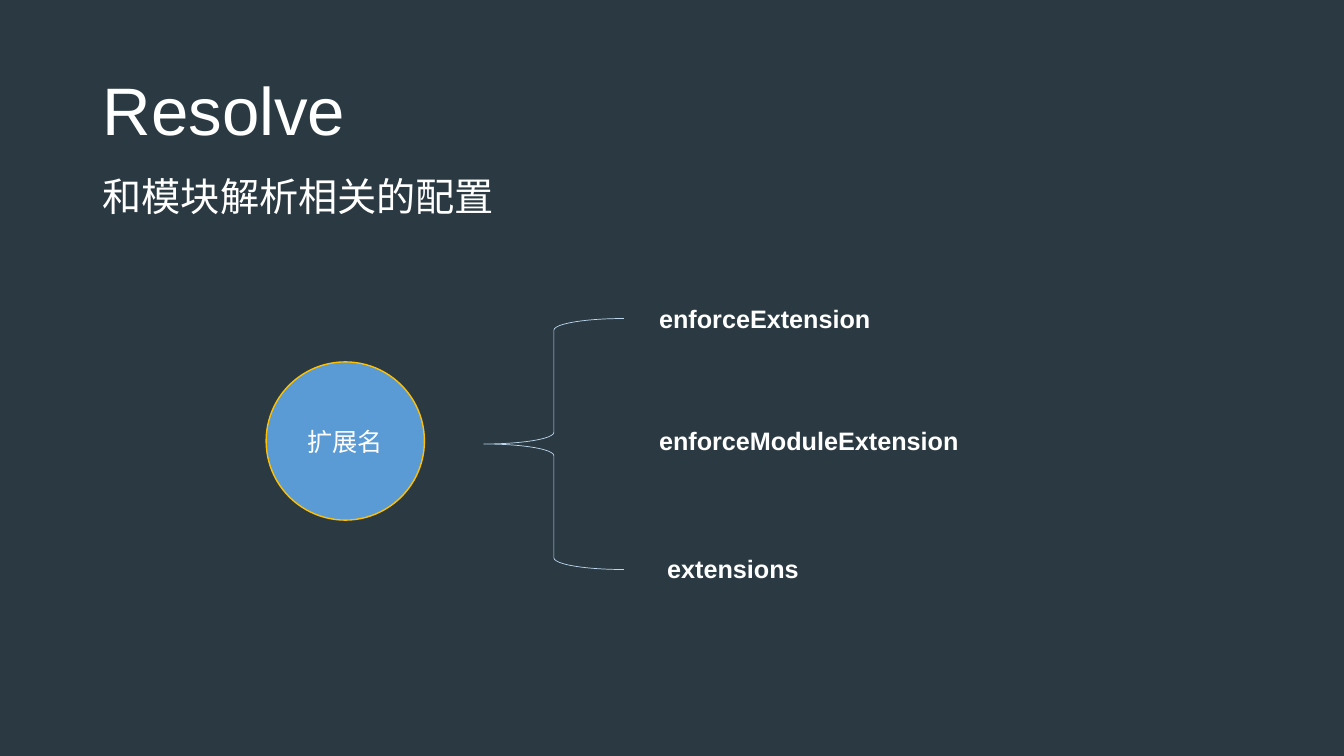
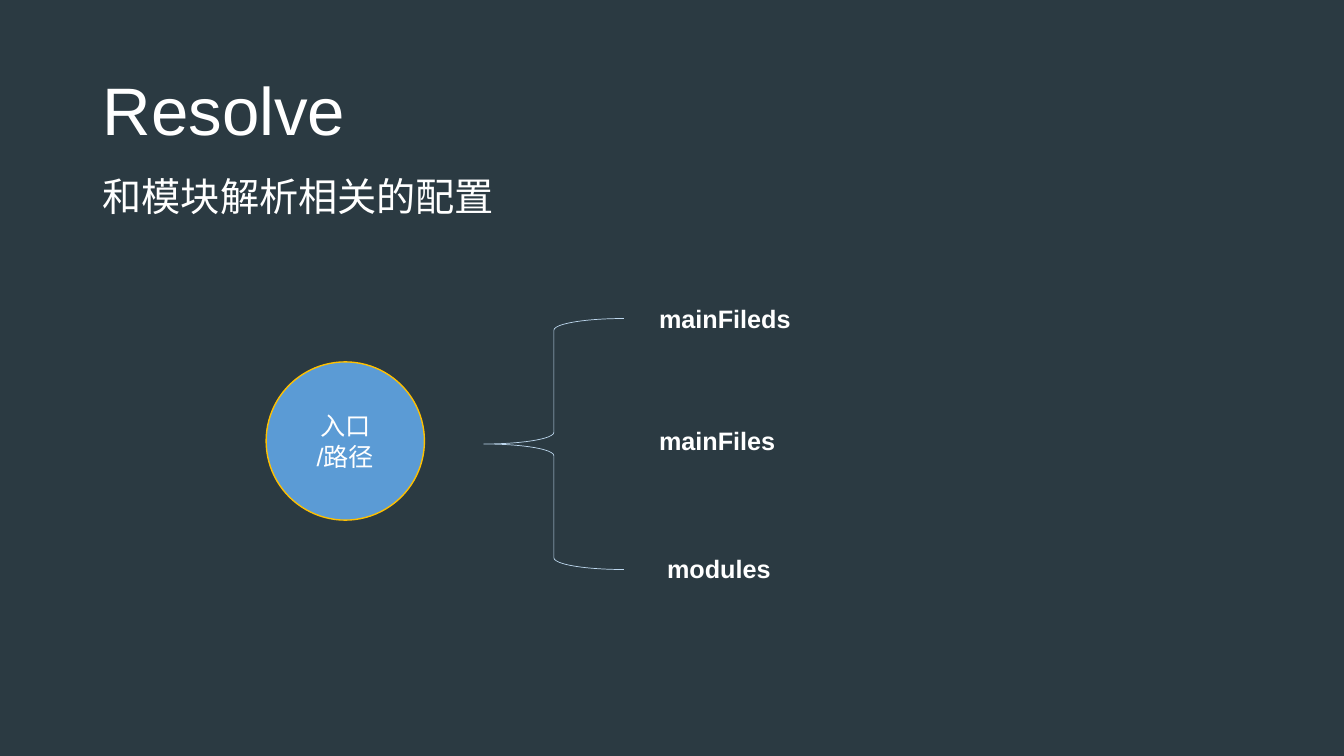
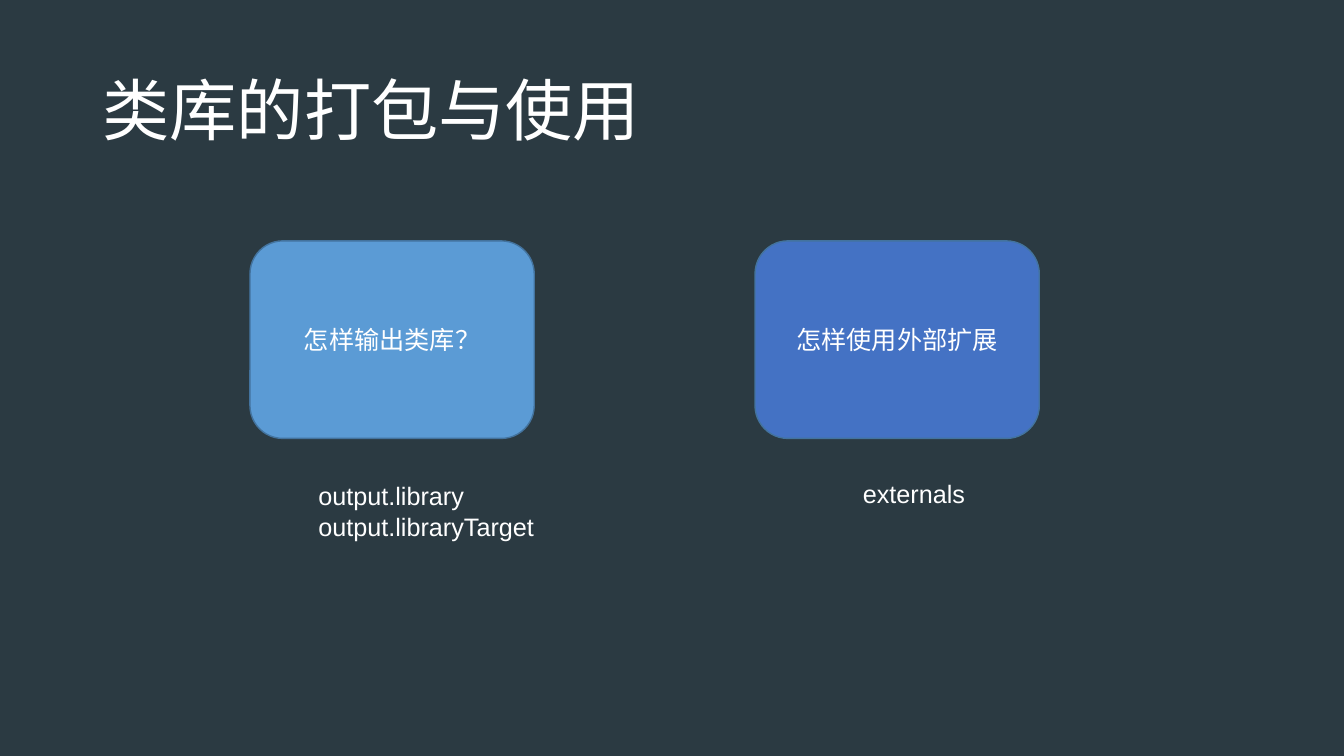
"""Build three slides on module resolution and library packaging."""
from pptx import Presentation
from pptx.dml.color import RGBColor
from pptx.enum.shapes import MSO_SHAPE
from pptx.enum.text import MSO_ANCHOR, MSO_AUTO_SIZE, PP_ALIGN
from pptx.util import Pt

BRACE, CIRCLE, CARD = MSO_SHAPE.LEFT_BRACE, MSO_SHAPE.OVAL, MSO_SHAPE.ROUNDED_RECTANGLE
TOP, MIDDLE = MSO_ANCHOR.TOP, MSO_ANCHOR.MIDDLE
LEFT, CENTER = PP_ALIGN.LEFT, PP_ALIGN.CENTER
FIT = MSO_AUTO_SIZE.SHAPE_TO_FIT_TEXT

WIDTH, HEIGHT = 960, 540
FONT = "Arial"
NAVY, WHITE, BLUE, INDIGO = "2B3A42", "FFFFFF", "5B9BD5", "4472C4"
GOLD, PALE, STEEL = "FFC000", "BDD7EE", "43739E"
SUBTITLE = "和模块解析相关的配置"
LABEL_SPOTS = [(48.3, 39.47), (48.3, 55.6), (48.9, 72.53)]


def rgb(value):
    return RGBColor.from_string(value)


def box(x, y, w, h):
    """Turn percentages of the slide into lengths."""
    return (Pt(x * WIDTH / 100), Pt(y * HEIGHT / 100),
            Pt(w * WIDTH / 100), Pt(h * HEIGHT / 100))


def write(tf, lines, size=18, bold=False, align=LEFT, spacing=None, before=None):
    for i, line in enumerate(lines):
        p = tf.paragraphs[0] if i == 0 else tf.add_paragraph()
        p.alignment = align
        p.line_spacing = spacing
        p.space_before = before
        r = p.add_run()
        r.text = line
        r.font.name = FONT
        r.font.size = Pt(size)
        r.font.bold = bold
        r.font.color.rgb = rgb(WHITE)


def add_heading(s, place, text, size, anchor, before):
    tf = s.shapes.add_textbox(*box(*place)).text_frame
    tf.word_wrap = True
    tf.vertical_anchor = anchor
    write(tf, [text], size, spacing=0.9, before=before)


def add_label(s, place, lines, bold=False):
    tf = s.shapes.add_textbox(*box(*place)).text_frame
    tf.word_wrap = False
    tf.auto_size = FIT
    write(tf, lines, bold=bold)


def add_figure(s, kind, place, line, weight, fill=None, lines=()):
    sp = s.shapes.add_shape(kind, *box(*place))
    sp.shadow.inherit = False
    sp.line.color.rgb = rgb(line)
    sp.line.width = Pt(weight)
    if fill:
        sp.fill.solid()
        sp.fill.fore_color.rgb = rgb(fill)
    else:
        sp.fill.background()
    sp.text_frame.vertical_anchor = MIDDLE
    write(sp.text_frame, lines, align=CENTER)


def add_titled_slide(prs, title):
    s = prs.slides.add_slide(prs.slide_layouts[6])
    add_heading(s, (6.9, 5.33, 86.25, 19.33), title, 48, MIDDLE, Pt(0))
    return s


def add_resolve_slide(prs, topic, options):
    """Show a topic circle, a brace and its three options."""
    s = add_titled_slide(prs, "Resolve")
    add_heading(s, (6.9, 22.8, 86.25, 7.6), SUBTITLE, 28, TOP, Pt(10))
    add_figure(s, BRACE, (36, 42.13, 10.43, 33.2), PALE, 0.5)
    for (x, y), (name, width) in zip(LABEL_SPOTS, options):
        add_label(s, (x, y, width, 5.33), [name], bold=True)
    add_figure(s, CIRCLE, (19.8, 47.87, 11.78, 20.93), GOLD, 1, BLUE, topic)


def add_library_slide(prs):
    s = add_titled_slide(prs, "类库的打包与使用")
    cards = [(18.6, BLUE, "怎样输出类库？"), (56.18, INDIGO, "怎样使用外部扩展")]
    for x, fill, question in cards:
        add_figure(s, CARD, (x, 31.87, 21.15, 26.13), STEEL, 1, fill, [question])
    add_label(s, (22.95, 62.93, 17.85, 9.47), ["output.library", "output.libraryTarget"])
    add_label(s, (63.46, 62.67, 9.23, 5.33), ["externals"])


def main():
    prs = Presentation()
    prs.slide_width, prs.slide_height = Pt(WIDTH), Pt(HEIGHT)
    backdrop = prs.slide_master.background.fill
    backdrop.solid()
    backdrop.fore_color.rgb = rgb(NAVY)
    add_resolve_slide(prs, ["扩展名"], [
        ("enforceExtension", 17.4), ("enforceModuleExtension", 24), ("extensions", 11.4)])
    add_resolve_slide(prs, ["入口", "/路径"], [
        ("mainFileds", 11.4), ("mainFiles", 10.28), ("modules", 9.3)])
    add_library_slide(prs)
    prs.save("out.pptx")


main()
